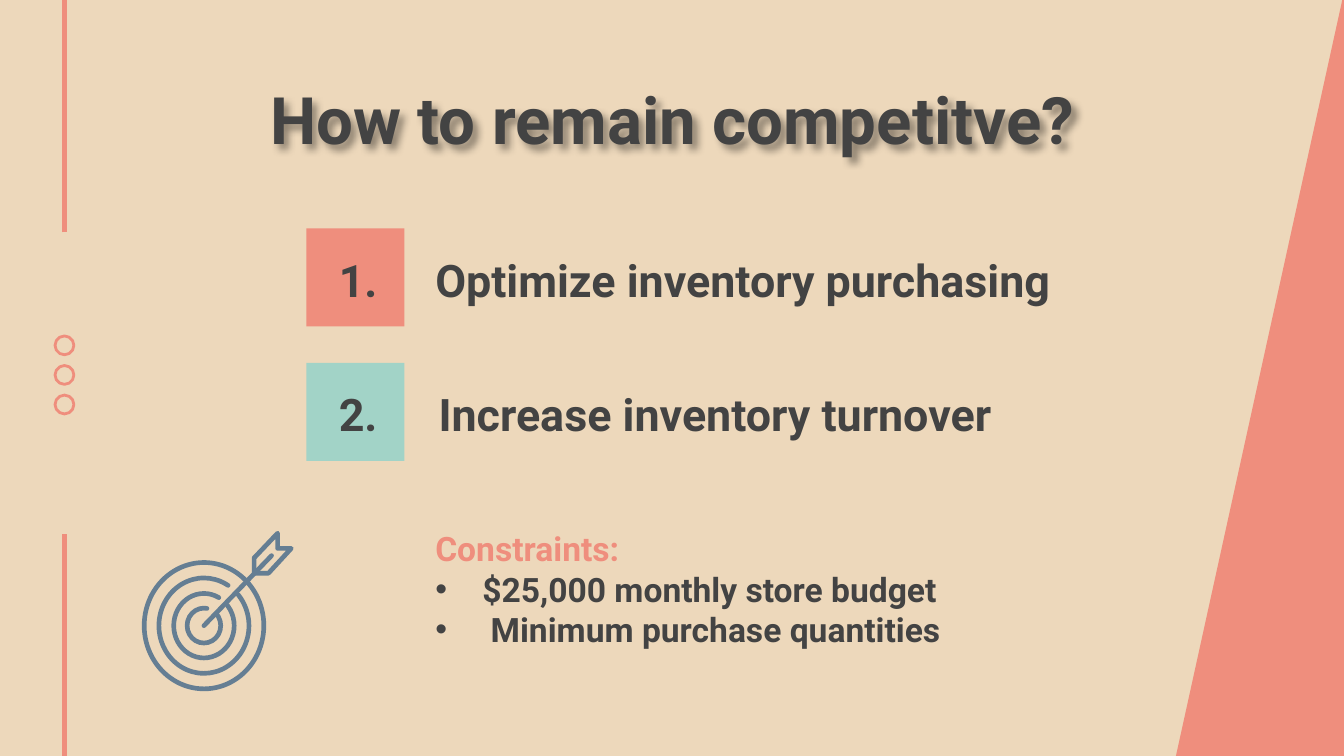
import pptx
import pptx.util
import pptx.dml.color
import pptx.enum.shapes
import pptx.enum.text
import pptx.oxml
import pptx.oxml.ns

COLORS = {"sand": "EDD8BB", "coral": "EF8E7D", "mint": "A2D3C7", "ink": "434343",
          "steel": "657E93", "shade": "000000"}
FONT = "Roboto"
COLUMNS, ROWS = 100, 56.25
CELL = pptx.util.Inches(0.1)
SHAPE = pptx.enum.shapes.MSO_SHAPE
ALIGN = pptx.enum.text.PP_ALIGN
ANCHOR = pptx.enum.text.MSO_ANCHOR
NS = pptx.oxml.ns.nsdecls("a")


def cells(*counts):
    return [round(count * CELL) for count in counts]


def rgb(name):
    return pptx.dml.color.RGBColor.from_string(COLORS[name])


def within(box, x, y, width, height):
    return box[0] + x * box[2], box[1] + y * box[3], width * box[2], height * box[3]


def paint(part, fill=None, line=None, weight=0):
    part.shadow.inherit = False
    if fill:
        part.fill.solid()
        part.fill.fore_color.rgb = rgb(fill)
    else:
        part.fill.background()
    if line:
        part.line.color.rgb = rgb(line)
        part.line.width = pptx.util.Pt(weight)
        part.line._get_or_add_ln().set("cap", "rnd")
    else:
        part.line.fill.background()
    return part


def draw(slide, kind, box, **style):
    return paint(slide.shapes.add_shape(kind, *cells(*box)), **style)


def rule(slide, start, end, color, weight, cap="flat"):
    stroke = slide.shapes.add_connector(
        pptx.enum.shapes.MSO_CONNECTOR.STRAIGHT, *cells(*start, *end))
    stroke.line.color.rgb = rgb(color)
    stroke.line.width = pptx.util.Pt(weight)
    stroke.line._get_or_add_ln().set("cap", cap)
    stroke._element.spPr.append(pptx.oxml.parse_xml(f"<a:effectLst {NS}/>"))


def write(slide, box, lines, size, align=ALIGN.LEFT, anchor=ANCHOR.BOTTOM, indented=True):
    label = slide.shapes.add_textbox(*cells(*box))
    frame = label.text_frame
    frame.word_wrap = True
    frame.vertical_anchor = anchor
    frame.margin_left = frame.margin_right = frame.margin_top = frame.margin_bottom = CELL
    frame.text = "\n".join(text for text, color in lines)
    for paragraph, (text, color) in zip(frame.paragraphs, lines):
        paragraph.alignment = align
        font = paragraph.runs[0].font
        font.name, font.size, font.bold = FONT, pptx.util.Pt(size), True
        font.color.rgb = rgb(color)
        if indented:
            properties = paragraph._p.get_or_add_pPr()
            properties.set("marL", str(5 * CELL))
            properties.set("indent", str(round(-3.5 * CELL)))
    return label


def side_decor(slide, box):
    left, top, width, height = box
    wedge = draw(slide, SHAPE.RIGHT_TRIANGLE, within(box, 0.875, -0.01, 0.125, 1.01), fill="coral")
    wedge._element.spPr.xfrm.set("flipH", "1")
    axis = left + 0.048 * width
    for start, end in ((17.3, 0), (57, 39.7)):
        rule(slide, (axis, top + start), (axis, top + end), "coral", 2.25)
    diameter, pitch = 1.4, 2.2
    for index in range(3):
        draw(slide, SHAPE.OVAL, (axis - diameter / 2, top + 25 + index * pitch, diameter, diameter),
             line="coral", weight=1.5)


def heading(slide, box):
    label = write(slide, box, [("How to remain competitve?", "ink")], 35,
                  ALIGN.CENTER, ANCHOR.TOP, indented=False)
    label._element.spPr.append(pptx.oxml.parse_xml(
        f'<a:effectLst {NS}><a:outerShdw blurRad="50800" dist="38100" dir="2700000" algn="tl">'
        f'<a:srgbClr val="{COLORS["shade"]}"><a:alpha val="40000"/></a:srgbClr>'
        '</a:outerShdw></a:effectLst>'))


def goal(slide, box, number, text, color, gap):
    left, top, width, height = box
    draw(slide, SHAPE.RECTANGLE, (left, top, height, height), fill=color)
    write(slide, (left - 0.9, top + 0.5, 8, 6.3), [(number, "ink")], 24, ALIGN.CENTER)
    write(slide, (left + height + gap, top + 0.5, width - height, 6.3), [(text, "ink")], 24)


def target_icon(slide, box):
    left, top, width, height = box
    center = left + 0.405 * width, top + 0.593 * height
    rings = ((8.9, 9.4, None), (6.7, 7.1, (318, 301)),
             (4.5, 4.8, (319, 298)), (2.5, 2.6, (320, 280)))
    for across, down, opening in rings:
        ring = draw(slide, SHAPE.ARC if opening else SHAPE.OVAL,
                    (center[0] - across / 2, center[1] - down / 2, across, down),
                    line="steel", weight=2.5)
        if opening:
            for index, degrees in enumerate(opening):
                ring.adjustments[index] = degrees * 0.6
    rule(slide, center, (left + 0.85 * width, top + 0.155 * height), "steel", 2.5, "rnd")
    feather = [(0.89, 0.015), (0.735, 0.17), (0.735, 0.265), (0.83, 0.265), (0.98, 0.11), (0.89, 0.11)]
    points = [cells(left + x * width, top + y * height) for x, y in feather]
    builder = slide.shapes.build_freeform(*points[0])
    builder.add_line_segments(points[1:], close=True)
    paint(builder.convert_to_shape(), line="steel", weight=2.5)


def constraints(slide, box):
    label = write(slide, box, [("Constraints:", "coral"), ("$25,000 monthly store budget", "ink"),
                               (" Minimum purchase quantities", "ink")], 18)
    for paragraph in label.text_frame.paragraphs[1:]:
        properties = paragraph._p.get_or_add_pPr()
        for xml in (f'<a:buClr {NS}><a:srgbClr val="{COLORS["ink"]}"/></a:buClr>',
                    f'<a:buFont {NS} typeface="Arial"/>', f'<a:buChar {NS} char="•"/>'):
            properties.append(pptx.oxml.parse_xml(xml))


def main():
    deck = pptx.Presentation()
    deck.slide_width, deck.slide_height = cells(COLUMNS, ROWS)
    slide = deck.slides.add_slide(deck.slide_layouts[6])
    slide.background.fill.solid()
    slide.background.fill.fore_color.rgb = rgb("sand")
    side_decor(slide, (0, 0, COLUMNS, ROWS))
    heading(slide, (7.9, 4.9, 84.3, 6.3))
    goals = (("1.", "Optimize inventory purchasing", "coral", -0.2),
             ("2.", "Increase inventory turnover", "mint", 0.05))
    for index, details in enumerate(goals):
        goal(slide, (22.8, 17 + index * 10, 60.5, 7.3), *details)
    target_icon(slide, (10.6, 39.5, 11.3, 11.9))
    constraints(slide, (29.9, 38, 53.2, 11.3))
    deck.save("out.pptx")


if __name__ == "__main__":
    main()
